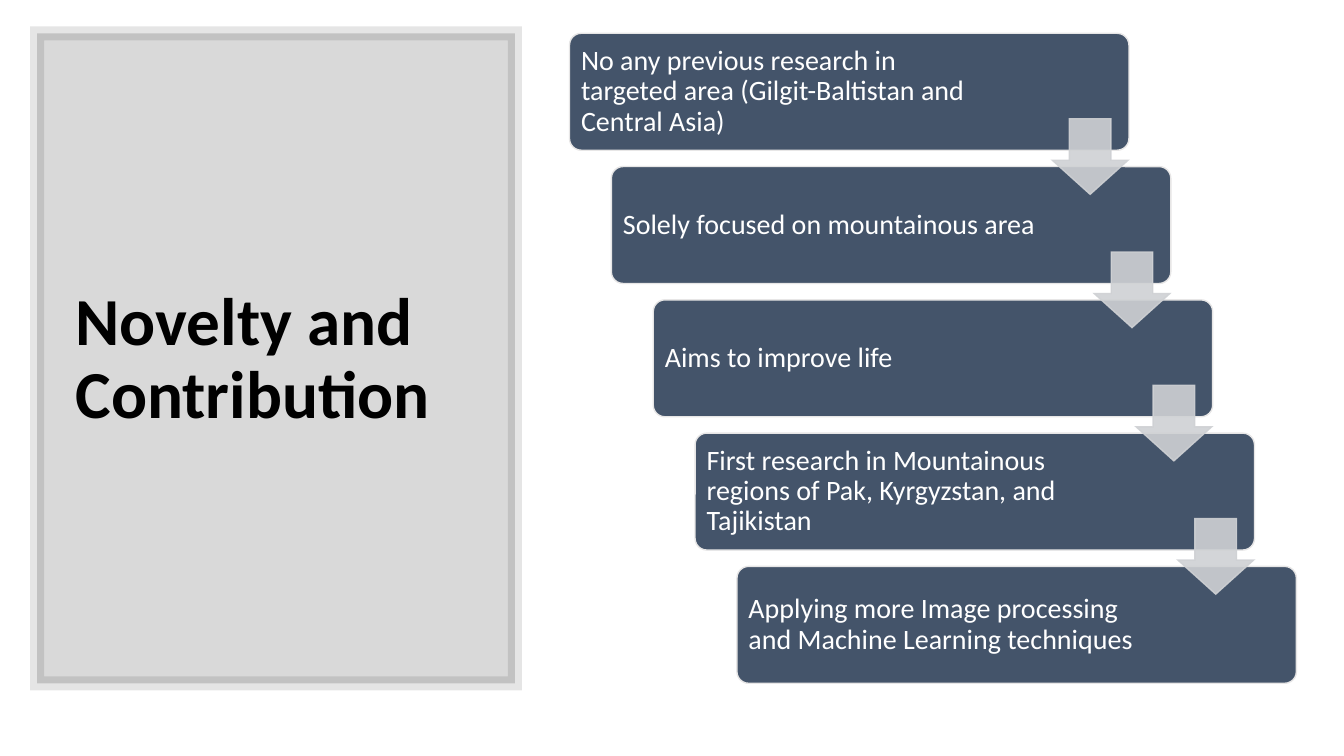
import pptx
import pptx.util
import pptx.dml.color
import pptx.enum.shapes
import pptx.enum.text
import pptx.oxml.ns
import pptx.oxml.xmlchemy

Pt = pptx.util.Pt
Shape = pptx.enum.shapes.MSO_SHAPE
qn = pptx.oxml.ns.qn
make = pptx.oxml.xmlchemy.OxmlElement


def paint(target, tone):
    target.rgb = pptx.dml.color.RGBColor.from_string(tone)


def fade(node, share):
    for tone in node.iter(qn("a:srgbClr")):
        alpha = make("a:alpha")
        alpha.set("val", str(share * 1000))
        tone.append(alpha)


def write(frame, text, size=20, color="FFFFFF", bold=False, pads=(7.2, 3.6, 7.2, 3.6)):
    frame.word_wrap = True
    frame.auto_size = pptx.enum.text.MSO_AUTO_SIZE.NONE
    frame.vertical_anchor = pptx.enum.text.MSO_ANCHOR.MIDDLE
    frame.margin_left, frame.margin_top, frame.margin_right, frame.margin_bottom = map(Pt, pads)
    line = frame.paragraphs[0]
    line.alignment = pptx.enum.text.PP_ALIGN.LEFT
    line.line_spacing = 0.9
    run = line.add_run()
    run.text = text
    run.font.name = "Calibri"
    run.font.size = Pt(size)
    run.font.bold = bold
    paint(run.font.color, color)


class Deck:
    ink, navy, edge, mist = "000000", "44546A", "E7E6E6", "CFD1D4"

    def __init__(self):
        self.file = pptx.Presentation()
        self.file.slide_width, self.file.slide_height = Pt(960), Pt(540)
        self.slide = self.file.slides.add_slide(self.file.slide_layouts[5])

    def shape(self, kind, area, fill, edge, width=1):
        item = self.slide.shapes.add_shape(kind, *map(Pt, area))
        item.shadow.inherit = False
        item.fill.solid()
        paint(item.fill.fore_color, fill)
        item.line.width = Pt(width)
        paint(item.line.color, edge)
        join = make("a:miter")
        join.set("lim", "800000")
        item._element.spPr.find(qn("a:ln")).append(join)
        return item

    def panel(self, area):
        item = self.shape(Shape.RECTANGLE, area, self.ink, self.ink, 10)
        props = item._element.spPr
        fade(props.find(qn("a:solidFill")), 15)
        fade(props.find(qn("a:ln")), 10)

    def title(self, text, area):
        item = self.slide.shapes.title
        item.left, item.top, item.width, item.height = map(Pt, area)
        write(item.text_frame, text, size=48, color=self.ink, bold=True)
        item._element.getparent().append(item._element)

    def step(self, text, area, right):
        item = self.shape(Shape.ROUNDED_RECTANGLE, area, self.navy, self.edge)
        item.adjustments[0] = 0.1
        write(item.text_frame, text, pads=(5.8, 5.8, right, 5.8))

    def arrow(self, area):
        item = self.shape(Shape.DOWN_ARROW, area, self.mist, self.mist)
        item.adjustments[0], item.adjustments[1] = 0.55, 0.45
        fade(item._element.spPr, 90)


def main():
    deck = Deck()
    deck.panel((26.6, 23.8, 341.3, 464.4))
    deck.title("Novelty and Contribution", (46.8, 50.4, 299.5, 414))
    steps = [
        "No any previous research in targeted area (Gilgit-Baltistan and Central Asia)",
        "Solely focused on mountainous area",
        "Aims to improve life",
        "First research in Mountainous regions of Pak, Kyrgyzstan, and Tajikistan",
        "Applying more Image processing and Machine Learning techniques",
    ]
    shift, drop = 29.9, 95.2
    for i, text in enumerate(steps):
        right = 90 if i else 101
        deck.step(text, (406.8 + i * shift, 23.8 + i * drop, 399.6, 83.5), right)
    for i in range(len(steps) - 1):
        deck.arrow((751.7 + i * shift, 84.8 + i * drop, 54, 54))
    deck.file.save("out.pptx")


if __name__ == "__main__":
    main()
